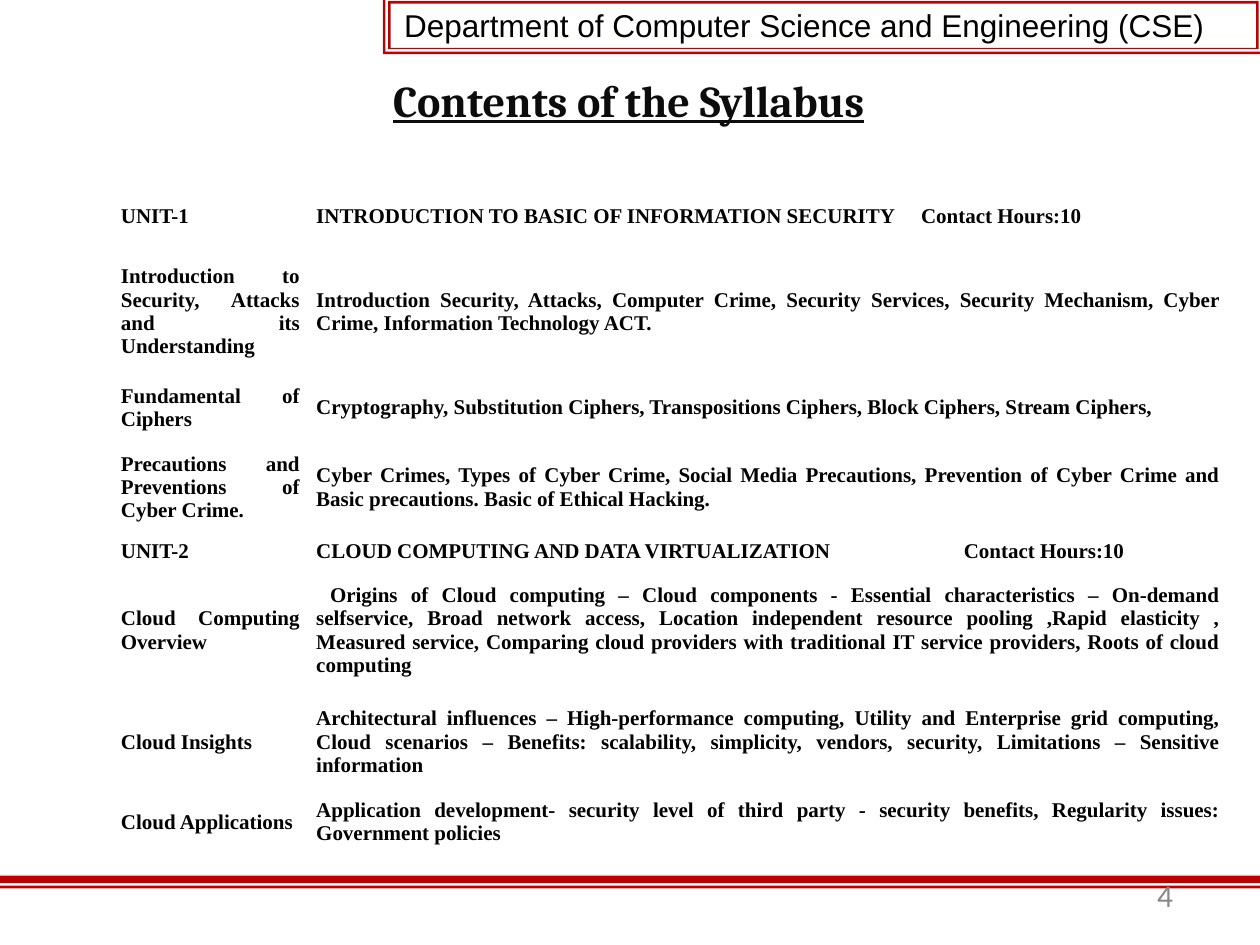
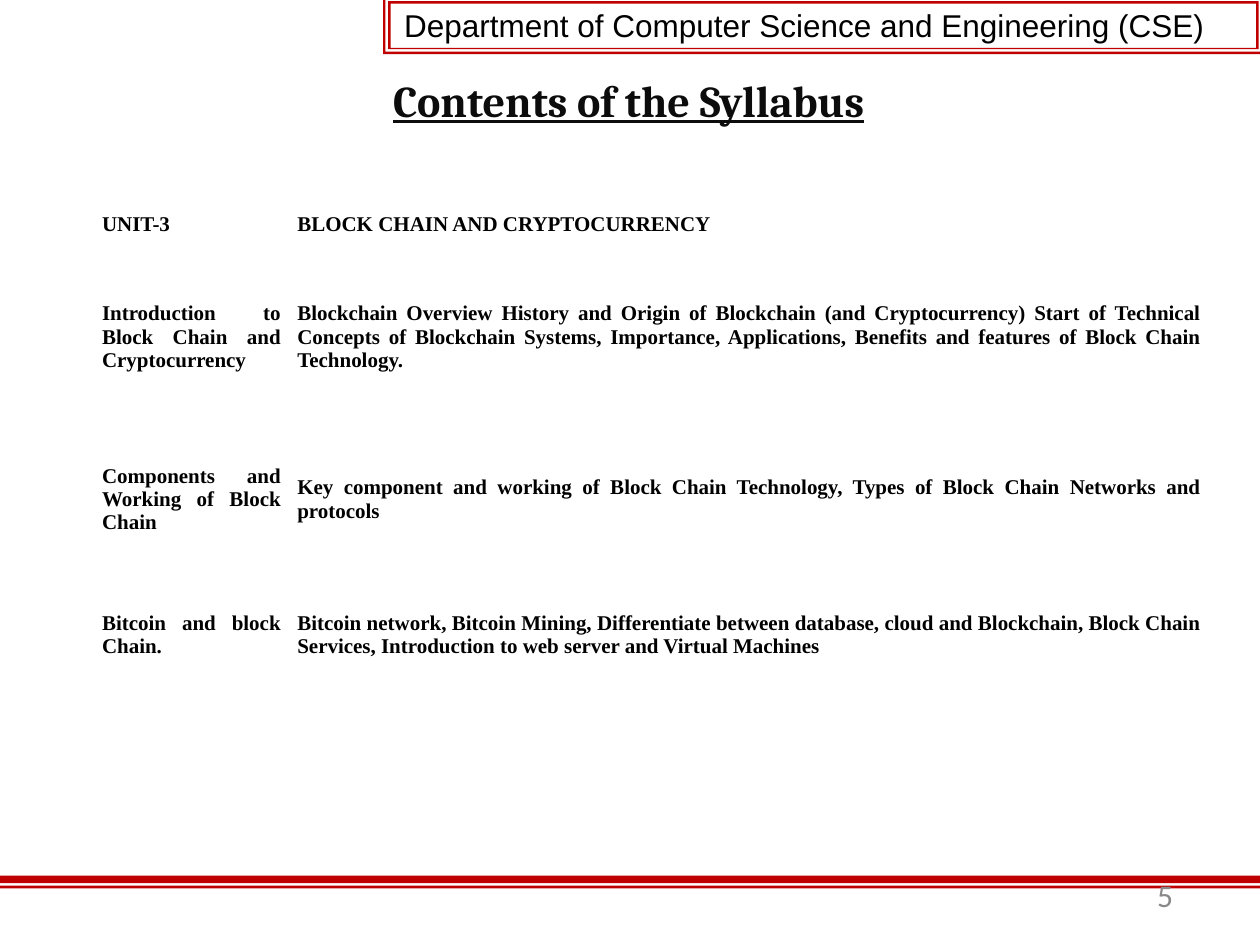
"""Build two syllabus slides with a shared header, footer and title."""
from pptx import Presentation, util as u
from pptx.dml.color import RGBColor
from pptx.enum import text as t

RED = RGBColor(0xC0, 0x00, 0x00)
INK = RGBColor(0x0C, 0x0C, 0x0C)
BLACK = RGBColor(0x00, 0x00, 0x00)
GREY = RGBColor(0x88, 0x88, 0x88)

WIDTH, HEIGHT = 10, 7.5
DEPARTMENT = "Department of Computer Science and Engineering (CSE)"
TITLE = "Contents of the Syllabus"
HOURS = "Contact Hours:10"
FIRST_LINE_INDENT = 0.11
INDENTED_TOPIC = "Cloud Computing Overview"

# Each row is its height and its cells; a cell is its first column and its text.
SYLLABUS = [
    dict(number="4", left=0.93, top=1.47, columns=[1.55, 4.8, 0.34, 2.17], rows=[
        (0.5, [(0, "UNIT-1"), (1, "INTRODUCTION TO BASIC OF INFORMATION SECURITY"), (2, HOURS)]),
        (1.01, [(0, "Introduction to Security, Attacks and its Understanding"),
                (1, "Introduction Security, Attacks, Computer Crime, Security Services, Security "
                    "Mechanism, Cyber Crime, Information Technology ACT.")]),
        (0.51, [(0, "Fundamental of Ciphers"),
                (1, "Cryptography, Substitution Ciphers, Transpositions Ciphers, Block Ciphers, "
                    "Stream Ciphers,")]),
        (0.76, [(0, "Precautions and Preventions of Cyber Crime."),
                (1, "Cyber Crimes, Types of Cyber Crime, Social Media Precautions, Prevention of "
                    "Cyber Crime and Basic precautions. Basic of Ethical Hacking.")]),
        (0.25, [(0, "UNIT-2"), (1, "CLOUD COMPUTING AND DATA VIRTUALIZATION"), (3, HOURS)]),
        (1.01, [(0, INDENTED_TOPIC),
                (1, "Origins of Cloud computing – Cloud components - Essential characteristics – "
                    "On-demand selfservice, Broad network access, Location independent resource "
                    "pooling ,Rapid elasticity , Measured service, Comparing cloud providers with "
                    "traditional IT service providers, Roots of cloud computing")]),
        (0.76, [(0, "Cloud Insights"),
                (1, "Architectural influences – High-performance computing, Utility and Enterprise "
                    "grid computing, Cloud scenarios – Benefits: scalability, simplicity, vendors, "
                    "security, Limitations – Sensitive information")]),
        (0.51, [(0, "Cloud Applications"),
                (1, "Application development- security level of third party - security benefits, "
                    "Regularity issues: Government policies")]),
    ]),
    dict(number="5", left=0.78, top=1.53, columns=[1.55, 4.98, 2.33], rows=[
        (0.5, [(0, "UNIT-3"), (1, "BLOCK CHAIN AND CRYPTOCURRENCY"), (2, "")]),
        (1.29, [(0, "Introduction to Block Chain and Cryptocurrency"),
                (1, "Blockchain Overview History and Origin of Blockchain (and Cryptocurrency) "
                    "Start of Technical Concepts of Blockchain Systems, Importance, Applications, "
                    "Benefits and features of Block Chain Technology.")]),
        (1.29, [(0, "Components and Working of Block Chain"),
                (1, "Key component and working of Block Chain Technology, Types of Block Chain "
                    "Networks and protocols")]),
        (0.86, [(0, "Bitcoin and block Chain."),
                (1, "Bitcoin network, Bitcoin Mining, Differentiate between database, cloud and "
                    "Blockchain, Block Chain Services, Introduction to web server and Virtual "
                    "Machines")]),
    ]),
]


def box(left, top, right, bottom):
    return [(left, top), (right, top), (right, bottom), (left, bottom)]


FOOTER_BAND = [box(0, 6.95, WIDTH, 7.01), box(0, 7.03, WIDTH, 7.05)]
HEADER_FRAME = [
    box(3.08, 0.01, 9.99, 0.39),
    box(3.1, 0.03, 9.97, 0.38)[::-1],
    [(3.04, 0), (3.06, 0), (3.06, 0.41), (WIDTH, 0.41), (WIDTH, 0.43), (3.04, 0.43)],
]


def write(frame, content, font="Times New Roman", size=12, color=BLACK, bold=False,
          underline=False, align=t.PP_ALIGN.LEFT, left_indent=0, first_line=0):
    paragraph = frame.paragraphs[0]
    paragraph.alignment = align
    properties = paragraph._p.get_or_add_pPr()
    properties.set("marL", str(u.Inches(left_indent)))
    properties.set("indent", str(u.Inches(first_line)))
    run = paragraph.add_run()
    run.text = content
    run.font.name, run.font.size = font, u.Pt(size)
    run.font.bold, run.font.underline = bold, underline
    run.font.color.rgb = color


def add_text(slide, content, place, margins=(0, 0), **style):
    frame = slide.shapes.add_textbox(*map(u.Inches, place)).text_frame
    frame.word_wrap = True
    frame.margin_left = frame.margin_right = u.Inches(margins[0])
    frame.margin_top = frame.margin_bottom = u.Inches(margins[1])
    write(frame, content, **style)


def add_outline(slide, contours):
    contours = [[(u.Inches(x), u.Inches(y)) for x, y in contour] for contour in contours]
    builder = slide.shapes.build_freeform(*contours[0][0])
    for contour in contours:
        builder.move_to(*contour[0])
        builder.add_line_segments(contour[1:], close=True)
    shape = builder.convert_to_shape()
    shape.shadow.inherit = False
    shape.fill.solid()
    shape.fill.fore_color.rgb = RED
    shape.line.fill.background()


def add_units(slide, left, top, columns, rows):
    heights = [height for height, _ in rows]
    place = (left, top, sum(columns), sum(heights))
    table = slide.shapes.add_table(len(rows), len(columns), *map(u.Inches, place)).table
    table.first_row = table.horz_banding = False
    for column, width in zip(table.columns, columns):
        column.width = u.Inches(width)
    for r, (height, cells) in enumerate(rows):
        table.rows[r].height = u.Inches(height)
        texts = dict(cells)
        for c in range(len(columns)):
            cell = table.cell(r, c)
            cell.fill.background()
            cell.vertical_anchor = t.MSO_ANCHOR.MIDDLE
            cell.margin_left, cell.margin_right = u.Inches(0.03), u.Inches(0.1)
            cell.margin_top = cell.margin_bottom = 0
            indented = c == 1 and texts[0] == INDENTED_TOPIC
            write(cell.text_frame, texts.get(c, ""), bold=True, align=t.PP_ALIGN.JUSTIFY,
                  first_line=FIRST_LINE_INDENT if indented else 0)
        starts = list(texts) + [len(columns)]
        for start, following in zip(starts, starts[1:]):
            if following - start > 1:
                table.cell(r, start).merge(table.cell(r, following - 1))


def add_syllabus_slide(presentation, number, **units):
    slide = presentation.slides.add_slide(presentation.slide_layouts[6])
    add_outline(slide, FOOTER_BAND)
    add_outline(slide, HEADER_FRAME)
    add_text(slide, TITLE, (0.68, 0.58, 8.62, 0.49), font="Cambria", size=25.2, color=INK,
             bold=True, underline=True, align=t.PP_ALIGN.CENTER)
    add_text(slide, number, (7.06, 6.95, 2.25, 0.4), font="Calibri", size=18, color=GREY,
             align=t.PP_ALIGN.RIGHT)
    add_text(slide, DEPARTMENT, (2.5, 0, 7.5, 0.4), margins=(0.1, 0.05), font="Arial", size=18,
             left_indent=0.61)
    add_units(slide, **units)


def main():
    presentation = Presentation()
    presentation.slide_width, presentation.slide_height = u.Inches(WIDTH), u.Inches(HEIGHT)
    for page in SYLLABUS:
        add_syllabus_slide(presentation, **page)
    presentation.save("out.pptx")


if __name__ == "__main__":
    main()
